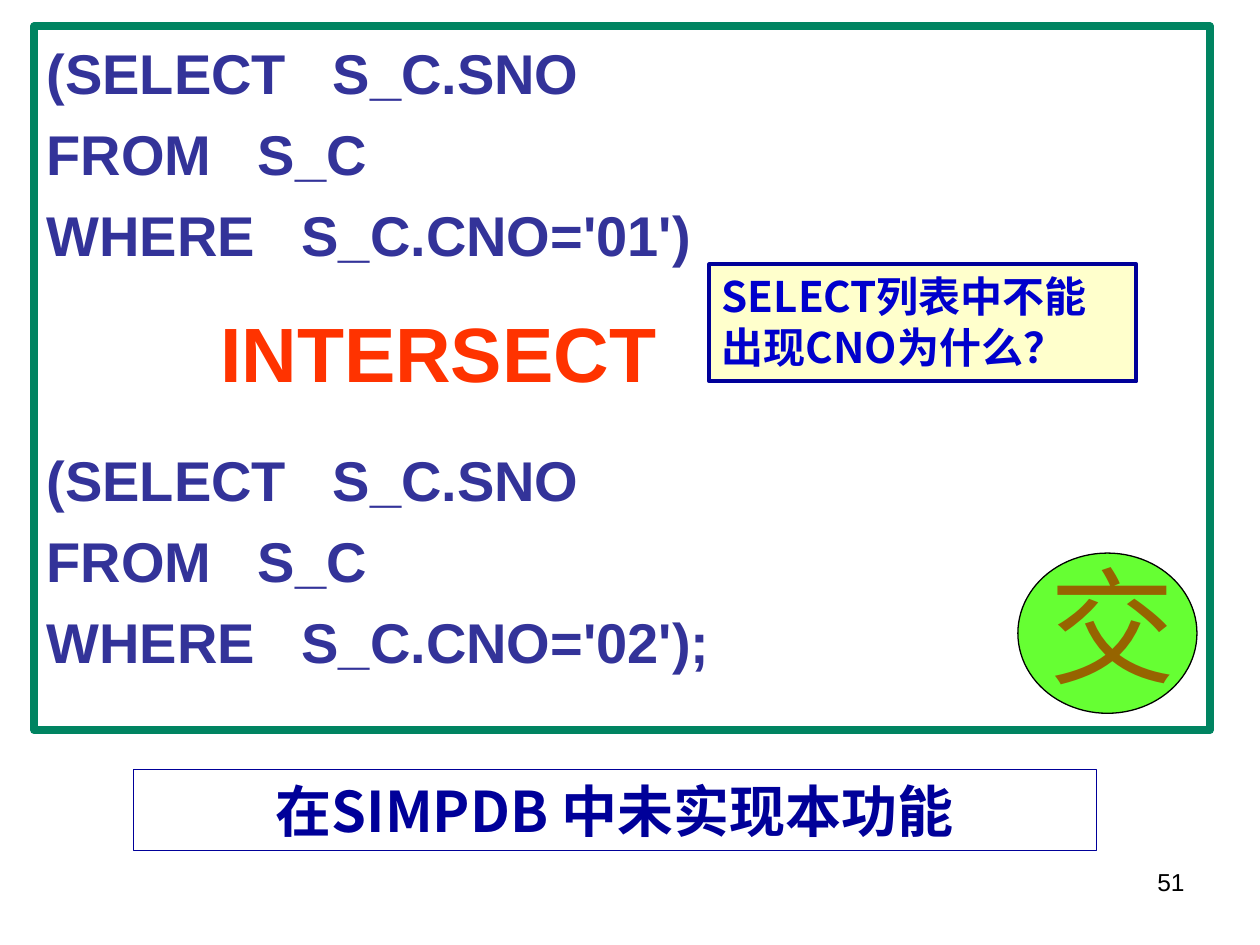
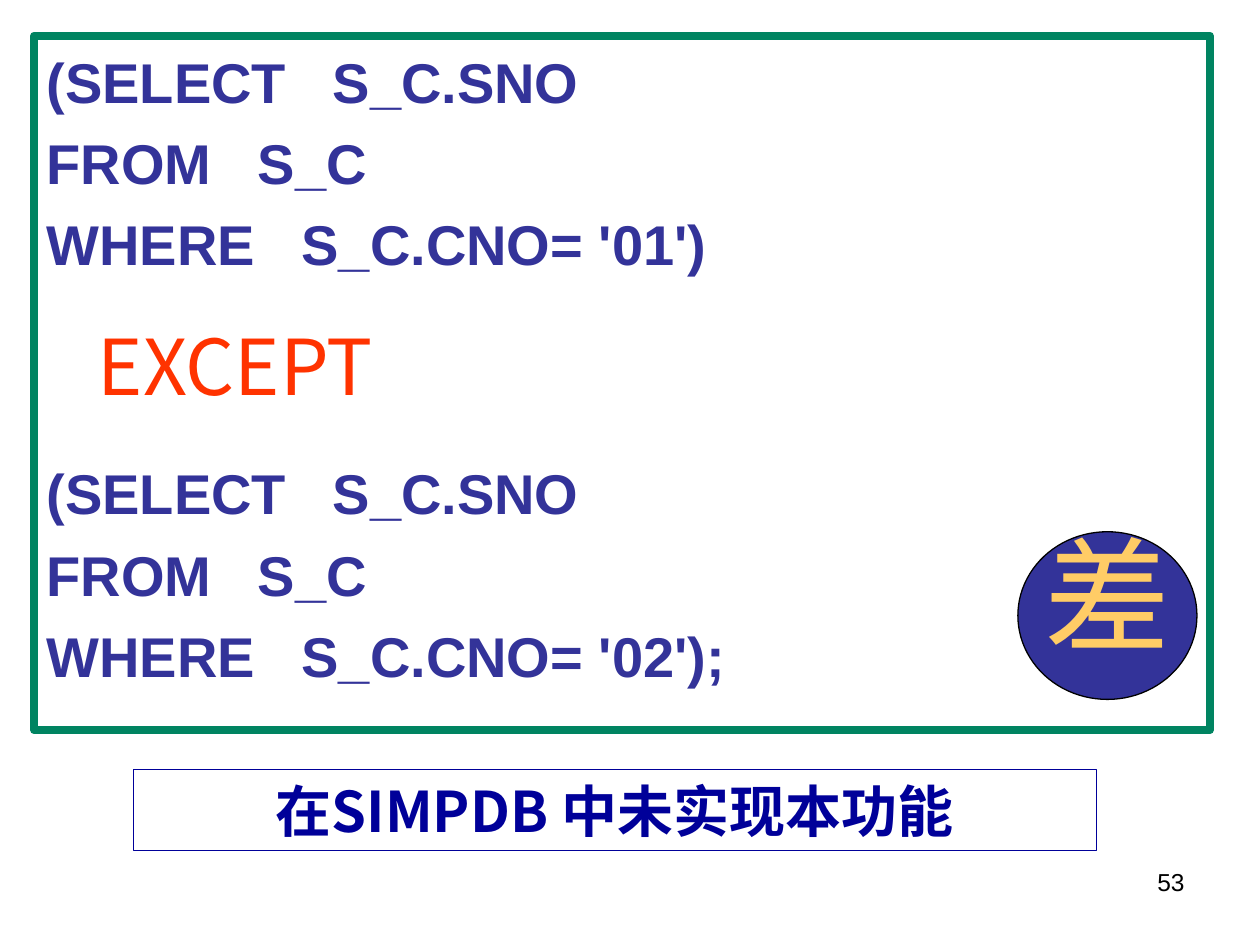
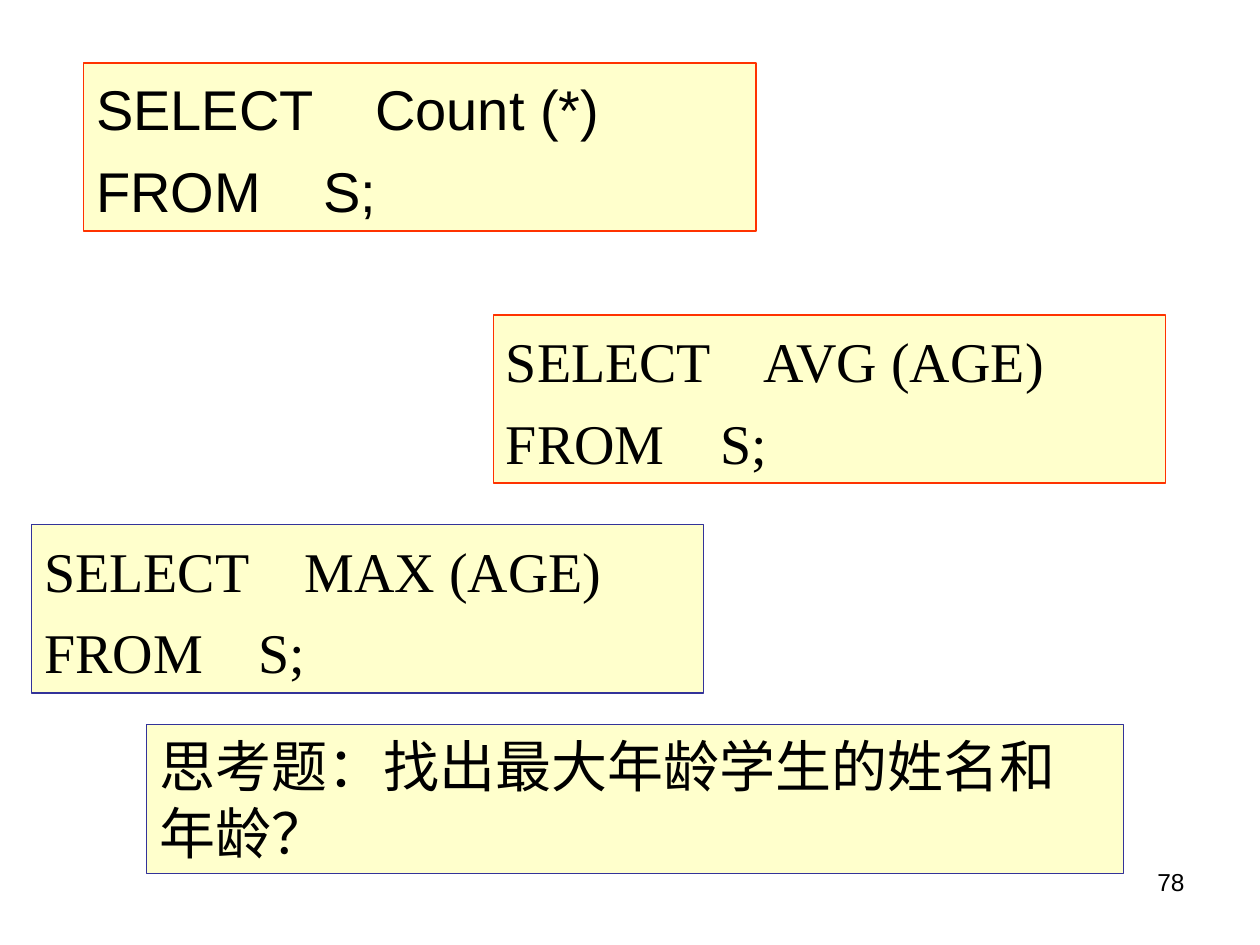
from dataclasses import dataclass

from lxml import etree
from pptx import Presentation
from pptx.dml.color import RGBColor
from pptx.enum.shapes import MSO_SHAPE
from pptx.enum.text import MSO_ANCHOR, PP_ALIGN
from pptx.oxml.ns import qn
from pptx.shapes.autoshape import Shape
from pptx.slide import Slide
from pptx.util import Cm, Pt

RECTANGLE = MSO_SHAPE.RECTANGLE
OVAL = MSO_SHAPE.OVAL
TOP = MSO_ANCHOR.TOP
LEFT, CENTER, RIGHT = PP_ALIGN.LEFT, PP_ALIGN.CENTER, PP_ALIGN.RIGHT

BLANK_LAYOUT = 6
ARIAL, TIMES = "Arial", "Times New Roman"
CHINESE, CHINESE_PLAIN = "Noto Sans CJK SC", "Noto Sans CJK JP"

BLACK = "000000"
FRAME_GREEN = "008461"
INDIGO = "333399"
NAVY = "000099"
BLUE = "0000CC"
RED = "FF3300"
CREAM = "FFFFCC"
LIME = "66FF33"
BROWN = "966400"
GOLD = "FFCC66"

INSET_SIDE = 0.25
INSET_TOP = 0.13
CODE_INSET_TOP = 0.24


@dataclass(frozen=True)
class Line:
    """One paragraph; indent is in centimetres, sizes and spacing in points."""
    text: str
    size: float = 32
    color: str = BLACK
    font: str = ARIAL
    bold: bool = False
    align: PP_ALIGN = LEFT
    indent: float = 0
    line_spacing: float = 1.0
    space_before: float = 8


@dataclass(frozen=True)
class Box:
    """A shape with text; lengths are in centimetres, line width in points."""
    left: float
    top: float
    width: float
    height: float
    lines: tuple[Line, ...] = ()
    fill: str | None = None
    outline: str | None = None
    outline_width: float = 0.75
    inset_top: float = INSET_TOP
    kind: MSO_SHAPE = RECTANGLE


@dataclass(frozen=True)
class SetQuery:
    """Two queries joined by a set operator, with a one-character badge."""
    number: int
    frame_top: float
    operator: Line
    equals: str
    badge: Box
    badge_text: Box


def rgb(value: str) -> RGBColor:
    return RGBColor.from_string(value)


def write_lines(shape: Shape, lines: tuple[Line, ...]) -> None:
    frame = shape.text_frame
    for index, line in enumerate(lines):
        paragraph = frame.add_paragraph() if index else frame.paragraphs[0]
        paragraph.text = line.text
        paragraph.alignment = line.align
        paragraph.line_spacing = line.line_spacing
        if index:
            paragraph.space_before = Pt(line.space_before)
        if line.indent:
            paragraph._p.get_or_add_pPr().set("marL", str(Cm(line.indent)))
        font = paragraph.font
        font.size = Pt(line.size)
        font.bold = line.bold
        font.name = line.font
        font.color.rgb = rgb(line.color)
        east_asian = line.font if line.font == CHINESE_PLAIN else CHINESE
        for run in paragraph.runs:
            run.font.name = line.font
            properties = run._r.get_or_add_rPr()
            etree.SubElement(properties, qn("a:ea")).set("typeface", east_asian)


def draw_box(shapes, box: Box) -> None:
    place = [Cm(length) for length in (box.left, box.top, box.width, box.height)]
    if box.fill or box.outline:
        shape = shapes.add_shape(box.kind, *place)
        shape.shadow.inherit = False
    else:
        shape = shapes.add_textbox(*place)
    if box.fill:
        shape.fill.solid()
        shape.fill.fore_color.rgb = rgb(box.fill)
    else:
        shape.fill.background()
    if box.outline:
        shape.line.color.rgb = rgb(box.outline)
        shape.line.width = Pt(box.outline_width)
    frame = shape.text_frame
    frame.word_wrap = True
    frame.vertical_anchor = TOP
    frame.margin_left = frame.margin_right = Cm(INSET_SIDE)
    frame.margin_top, frame.margin_bottom = Cm(box.inset_top), Cm(INSET_TOP)
    write_lines(shape, box.lines)


def add_slide(presentation: Presentation, number: int) -> Slide:
    slide = presentation.slides.add_slide(presentation.slide_layouts[BLANK_LAYOUT])
    page_number = Line(str(number), size=14, align=RIGHT)
    draw_box(slide.shapes, Box(18.21, 17.35, 5.92, 1.32, (page_number,)))
    return slide


def query_lines(equals: str, course: str, ending: str,
                first_spacing: float = 1.0) -> tuple[Line, ...]:
    style = {"color": INDIGO, "bold": True}
    return (
        Line("(SELECT   S_C.SNO", line_spacing=first_spacing, **style),
        Line("FROM   S_C", **style),
        Line(f"WHERE   S_C.CNO{equals}'{course}'{ending}", **style),
    )


def add_set_query_slide(presentation: Presentation, query: SetQuery) -> Slide:
    slide = add_slide(presentation, query.number)
    lines = (*query_lines(query.equals, "01", ")"), query.operator,
             *query_lines(query.equals, "02", ");", first_spacing=1.5))
    draw_box(slide.shapes, Box(
        0.69, query.frame_top, 23.7, FRAME_BOTTOM - query.frame_top, lines,
        outline=FRAME_GREEN, outline_width=4.5, inset_top=CODE_INSET_TOP))
    badge_group = slide.shapes.add_group_shape()
    draw_box(badge_group.shapes, query.badge)
    draw_box(badge_group.shapes, query.badge_text)
    draw_box(slide.shapes, NOT_SUPPORTED)
    return slide


def badge_line(character: str, color: str) -> tuple[Line, ...]:
    return (Line(character, size=72, color=color, font=TIMES),)


FRAME_BOTTOM = 14.72

NOT_SUPPORTED = Box(
    2.69, 15.52, 19.41, 1.63,
    (Line("在SIMPDB 中未实现本功能", color=NAVY, font=CHINESE, bold=True, align=CENTER),),
    outline=NAVY)

WHY_NOTE = Box(
    14.3, 5.33, 8.61, 2.36,
    (Line("SELECT列表中不能出现CNO为什么？", size=24, color=BLUE, font=CHINESE, bold=True),),
    fill=CREAM, outline=NAVY, outline_width=2.25)

INTERSECT_QUERY = SetQuery(
    51, 0.53,
    Line("INTERSECT", size=44, color=RED, bold=True, indent=3.5,
         line_spacing=1.2, space_before=11),
    "=",
    Box(20.52, 11.15, 3.61, 3.23, fill=LIME, outline=BLACK, kind=OVAL),
    Box(20.9, 10.92, 2.54, 3.3, badge_line("交", BROWN)))

EXCEPT_QUERY = SetQuery(
    53, 0.72,
    Line("EXCEPT", size=44, color=RED, font=CHINESE, indent=1.03, line_spacing=1.3),
    "= ",
    Box(20.52, 10.72, 3.61, 3.38, fill=INDIGO, outline=BLACK, kind=OVAL),
    Box(20.8, 10.31, 2.54, 3.3, badge_line("差", GOLD)))


def aggregate_box(left: float, top: float, function: str, font: str, outline: str) -> Box:
    lines = (Line(f"SELECT    {function}", font=font), Line("FROM    S;", font=font))
    return Box(left, top, 13.55, 3.39, lines, CREAM, outline, inset_top=CODE_INSET_TOP)


AGGREGATES = (
    aggregate_box(1.69, 1.27, "Count (*)", ARIAL, RED),
    aggregate_box(9.95, 6.35, "AVG (AGE)", TIMES, RED),
    aggregate_box(0.64, 10.58, "MAX (AGE)", TIMES, INDIGO),
)

QUESTION = Box(
    2.96, 14.61, 19.69, 3,
    (Line("思考题：找出最大年龄学生的姓名和\v年龄？", font=CHINESE_PLAIN),),
    fill=CREAM, outline=INDIGO)


def main() -> None:
    presentation = Presentation()
    presentation.slide_width, presentation.slide_height = Cm(25.4), Cm(19.05)

    intersect_slide = add_set_query_slide(presentation, INTERSECT_QUERY)
    draw_box(intersect_slide.shapes, WHY_NOTE)

    add_set_query_slide(presentation, EXCEPT_QUERY)

    aggregate_slide = add_slide(presentation, 78)
    for box in (*AGGREGATES, QUESTION):
        draw_box(aggregate_slide.shapes, box)

    presentation.save("out.pptx")


if __name__ == "__main__":
    main()
